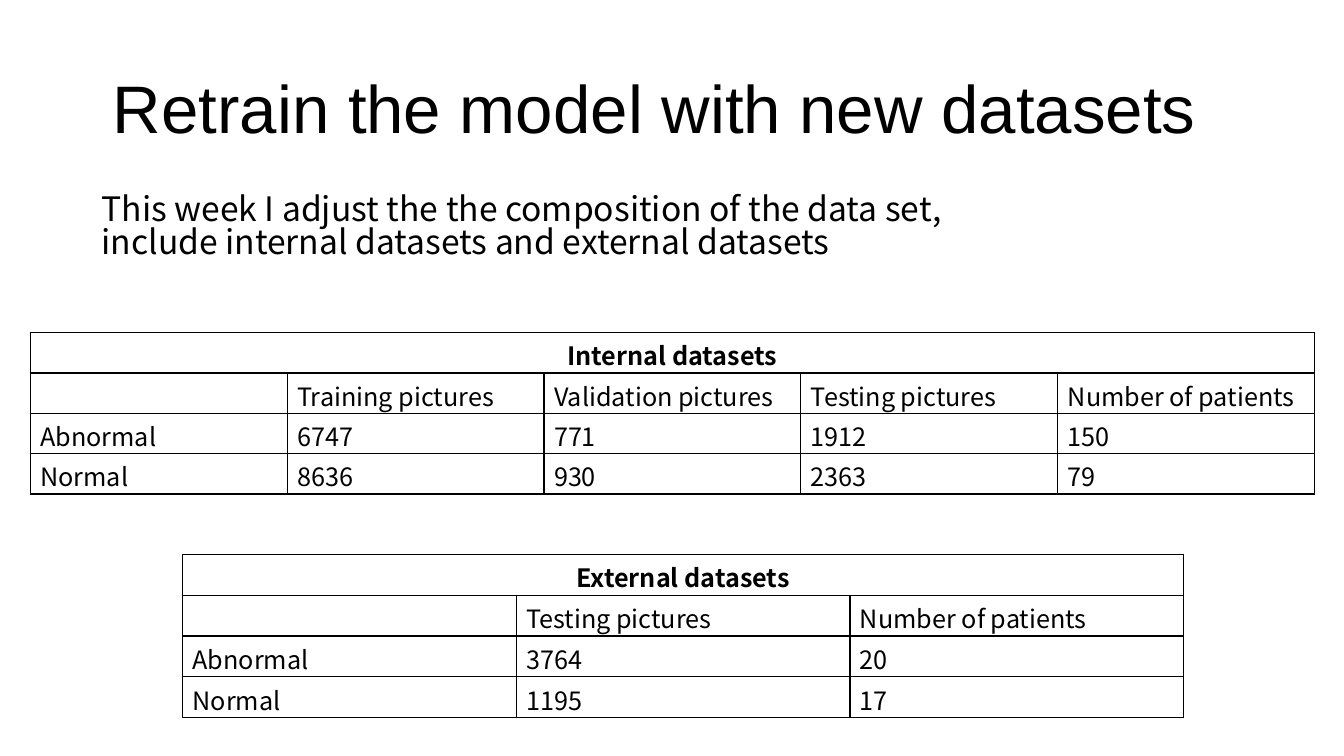
from lxml.etree import SubElement
from pptx import Presentation
from pptx.dml.color import RGBColor
from pptx.enum.text import MSO_ANCHOR, PP_ALIGN
from pptx.oxml.ns import qn
from pptx.util import Inches, Pt

COLORS = {"ink": "000000", "paper": "FFFFFF"}
SANS = "Noto Sans CJK SC"


class Deck:
    """Holds the style and the current slide."""

    def __init__(self):
        self.prs = Presentation()
        self.prs.slide_width = Inches(13.33)
        self.prs.slide_height = Inches(7.5)
        self.slide = self.prs.slides.add_slide(self.prs.slide_layouts[5])

    def label(self, frame, text, size, font=SANS, bold=False, align=PP_ALIGN.LEFT):
        para = frame.paragraphs[0]
        para.alignment = align
        run = para.add_run()
        run.text = text
        style = {"name": font, "size": Pt(size), "bold": bold}
        for key, value in style.items():
            setattr(run.font, key, value)
        run.font.color.rgb = RGBColor.from_string(COLORS["ink"])
        # East Asian typeface matches the Latin one
        SubElement(run.font._element, qn("a:ea"), typeface=font)
        return para

    def title(self, text, left, top, width, height):
        shape = self.slide.shapes.title
        place = {"left": left, "top": top, "width": width, "height": height}
        for key, value in place.items():
            setattr(shape, key, Inches(value))
        shape.text_frame.vertical_anchor = MSO_ANCHOR.TOP
        self.label(shape.text_frame, text, 48, "Arial")

    def text(self, text, left, top, width, height):
        box = self.slide.shapes.add_textbox(
            Inches(left), Inches(top), Inches(width), Inches(height))
        box.text_frame.word_wrap = True
        self.label(box.text_frame, text, 24).line_spacing = 0.82

    def border(self, cell):
        props = cell._tc.get_or_add_tcPr()
        for i, side in enumerate(("lnL", "lnR", "lnT", "lnB")):
            line = SubElement(props, qn(f"a:{side}"), w=str(Pt(1)))
            fill = SubElement(line, qn("a:solidFill"))
            SubElement(fill, qn("a:srgbClr"), val=COLORS["ink"])
            props.insert(i, line)

    def table(self, head, rows, left, top, width, height):
        count = len(rows[0])
        grid = [[head] + [""] * (count - 1)] + rows
        table = self.slide.shapes.add_table(
            len(grid), count, Inches(left), Inches(top),
            Inches(width), Inches(height)).table
        table.first_row = table.horz_banding = False
        form = {"margin_left": Inches(0.1), "margin_right": Inches(0.1),
                "margin_top": Inches(0.03), "margin_bottom": 0,
                "vertical_anchor": MSO_ANCHOR.BOTTOM}
        for r, row in enumerate(grid):
            for c, text in enumerate(row):
                cell = table.cell(r, c)
                for key, value in form.items():
                    setattr(cell, key, value)
                cell.fill.solid()
                cell.fill.fore_color.rgb = RGBColor.from_string(COLORS["paper"])
                self.border(cell)
                if text:
                    align = PP_ALIGN.LEFT if r else PP_ALIGN.CENTER
                    self.label(cell.text_frame, text, 18, bold=r == 0, align=align)
        # Heading spans the full width
        table.cell(0, 0).merge(table.cell(0, count - 1))


def main():
    deck = Deck()

    # Title and introduction
    deck.title("Retrain the model with new datasets", 1.02, 0.61, 12.05, 0.91)
    deck.text("This week I adjust the the composition of the data set, "
              "include internal datasets and external datasets",
              0.91, 1.89, 9.21, 1.51)

    # Dataset tables
    deck.table("Internal datasets", [
        ["", "Training pictures", "Validation pictures",
         "Testing pictures", "Number of patients"],
        ["Abnormal", "6747", "771", "1912", "150"],
        ["Normal", "8636", "930", "2363", "79"],
    ], 0.3, 3.3, 12.74, 1.6)
    deck.table("External datasets", [
        ["", "Testing pictures", "Number of patients"],
        ["Abnormal", "3764", "20"],
        ["Normal", "1195", "17"],
    ], 1.81, 5.5, 9.93, 1.62)

    deck.prs.save("out.pptx")


if __name__ == "__main__":
    main()
